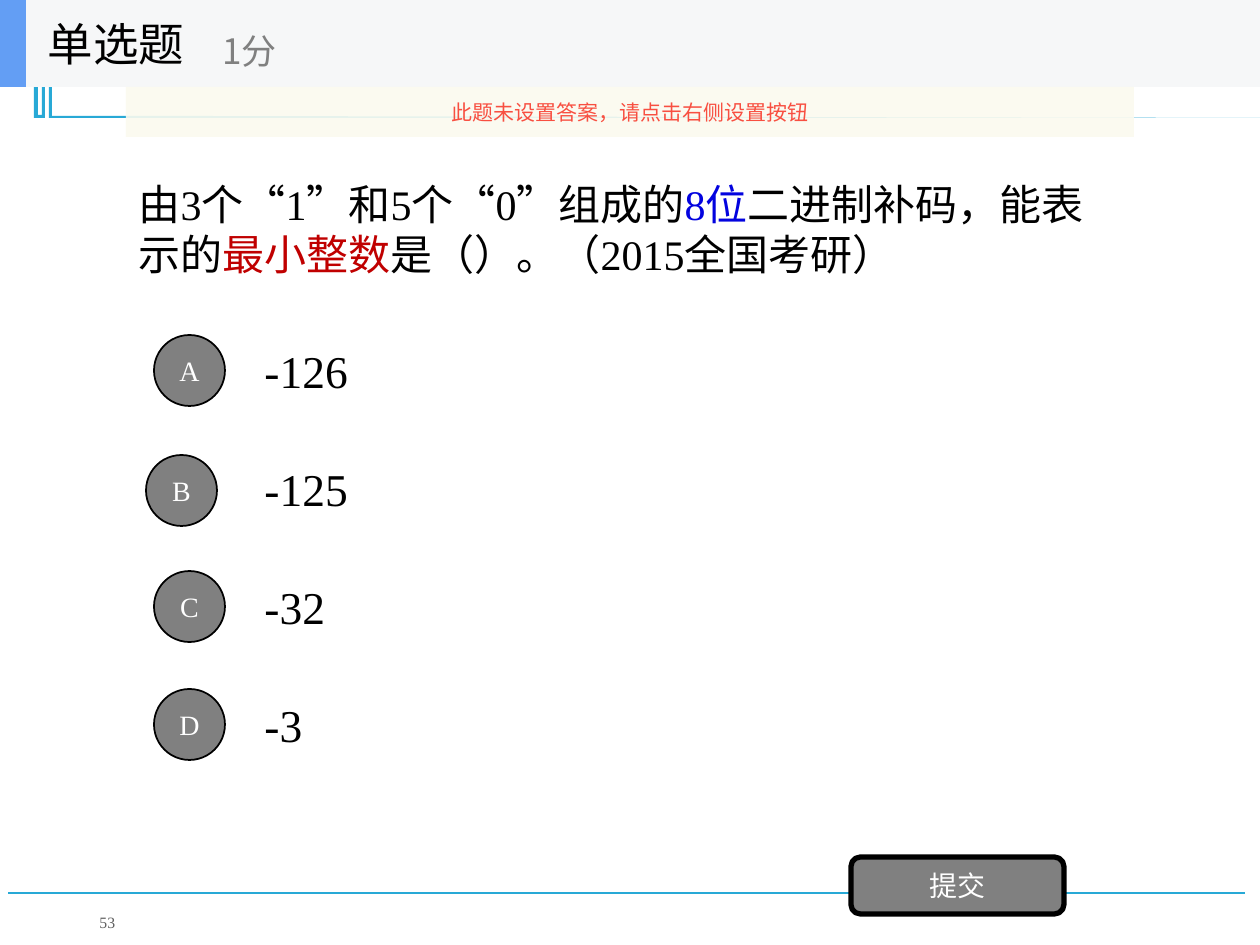
import pptx
import pptx.util
import pptx.dml.color
import pptx.enum.shapes
import pptx.enum.text
import pptx.oxml.ns
import lxml.etree

PX = 914400 / 126
INK = {
    "black": "000000", "white": "FFFFFF", "gray": "808080", "dim": "5F5F5F",
    "cyan": "28A9D6", "blue": "0303DF", "red": "C00000", "head": "F6F7F8",
    "tab": "639EF4", "cream": "FBFAEF", "alert": "F84F41",
}
HAN, ROMAN = "Noto Sans CJK SC", "Times New Roman"
KIND = pptx.enum.shapes.MSO_SHAPE
ALIGN = pptx.enum.text.PP_ALIGN
qn = pptx.oxml.ns.qn


def rgb(name):
    return pptx.dml.color.RGBColor.from_string(INK[name])


def put(text, box, kind=None, holder=None, fill=None, line=0, size=16,
        font=ROMAN, color="black", align=ALIGN.LEFT, wrap=True, pitch=None):
    """Place text (a string or (text, color) pairs) in a box given in px."""
    area = [round(v * PX) for v in box]
    if holder is not None:
        shape = holder
        shape.left, shape.top, shape.width, shape.height = area
    elif kind is not None:
        shape = slide.shapes.add_shape(kind, *area)
        shape.shadow.inherit = False
        shape.fill.solid()
        shape.fill.fore_color.rgb = rgb(fill)
        if line:
            shape.line.color.rgb = rgb("black")
            shape.line.width = pptx.util.Pt(line)
        else:
            shape.line.fill.background()
    else:
        shape = slide.shapes.add_textbox(*area)
    frame = shape.text_frame
    frame.auto_size = pptx.enum.text.MSO_AUTO_SIZE.NONE
    frame.word_wrap = wrap
    frame.vertical_anchor = pptx.enum.text.MSO_ANCHOR.MIDDLE
    para = frame.paragraphs[0]
    para.alignment = align
    para.space_before = pptx.util.Pt(0)
    if pitch:
        para.line_spacing = pptx.util.Pt(pitch)
    parts = [(text, color)] if isinstance(text, str) else text
    for words, tint in parts:
        run = para.add_run()
        run.text = words
        run.font.size = pptx.util.Pt(size)
        run.font.name = font
        run.font.color.rgb = rgb(tint)
        east = lxml.etree.SubElement(run.font._element, qn("a:ea"))
        east.set("typeface", HAN)
    return shape


deck = pptx.Presentation()
deck.slide_width = round(1260 * PX)
deck.slide_height = round(945 * PX)
slide = deck.slides.add_slide(deck.slide_layouts[1])
title, body = slide.placeholders[0], slide.placeholders[1]

# Footer rule
rule = slide.shapes.add_connector(
    pptx.enum.shapes.MSO_CONNECTOR.STRAIGHT,
    *[round(v * PX) for v in (1245, 893, 8, 893)])
rule.line.color.rgb = rgb("cyan")
rule.line.width = pptx.util.Pt(1.25)
lxml.etree.SubElement(rule._element.spPr, qn("a:effectLst"))

# Corner ornament with its tapering line
path = [(52, 58), (52, 116), (176, 116), (1271, 118), (52, 118), (49, 118),
        (49, 60), (45, 60), (45, 118), (34, 118), (34, 58), (38, 58),
        (38, 115), (42, 115), (42, 58)]
pen = slide.shapes.build_freeform(*path[0], scale=PX)
pen.add_line_segments(path[1:], close=True)
trim = pen.convert_to_shape()
trim.shadow.inherit = False
trim.fill.solid()
trim.fill.fore_color.rgb = rgb("cyan")
trim.line.fill.background()

# Page number
put("53", (87, 897, 284, 50), size=9, color="dim")

# Question
put([("由3个“1”和5个“0”组成的", "black"), ("8位", "blue"),
     ("二进制补码，能表示的", "black"), ("最小整数", "red"),
     ("是（）。（2015全国考研）", "black")],
    (126, 115, 1008, 228), holder=body, size=24, pitch=28.8)
prop = body.text_frame.paragraphs[0]._p.get_or_add_pPr()
prop.set("marL", "0")
prop.set("indent", "0")
lxml.etree.SubElement(prop, qn("a:buNone"))

# Options
marks = [("A", "-126", 154, 335), ("B", "-125", 146, 455),
         ("C", "-32", 154, 571), ("D", "-3", 154, 689)]
for row, (mark, value, left, top) in enumerate(marks):
    put(value, (252, 326 + 118 * row, 134, 88), size=26)
    put(mark, (left, top, 71, 71), kind=KIND.OVAL, fill="gray", line=1,
        color="white", align=ALIGN.CENTER, wrap=False)

# Submit button
put("提交", (851, 857, 213, 57), kind=KIND.ROUNDED_RECTANGLE, fill="gray",
    line=3, font=HAN, color="white", align=ALIGN.CENTER)

# Header band, with the title raised above it
put("", (0, 0, 1260, 87), kind=KIND.RECTANGLE, fill="head")
put("", (0, 0, 26, 87), kind=KIND.RECTANGLE, fill="tab")
put("单选题", (35, 0, 262, 87), holder=title, size=26, font=HAN)
slide.shapes.element.append(title.element)
put("1分", (210, 15, 315, 71), size=20, font=HAN, color="gray")

# Notice banner
note = put("此题未设置答案，请点击右侧设置按钮", (126, 87, 1008, 50),
           kind=KIND.RECTANGLE, fill="cream", size=12, font=HAN,
           color="alert", align=ALIGN.CENTER)
tint = note._element.spPr.find(qn("a:solidFill"))[0]
lxml.etree.SubElement(tint, qn("a:alpha")).set("val", "90000")

deck.save("out.pptx")
